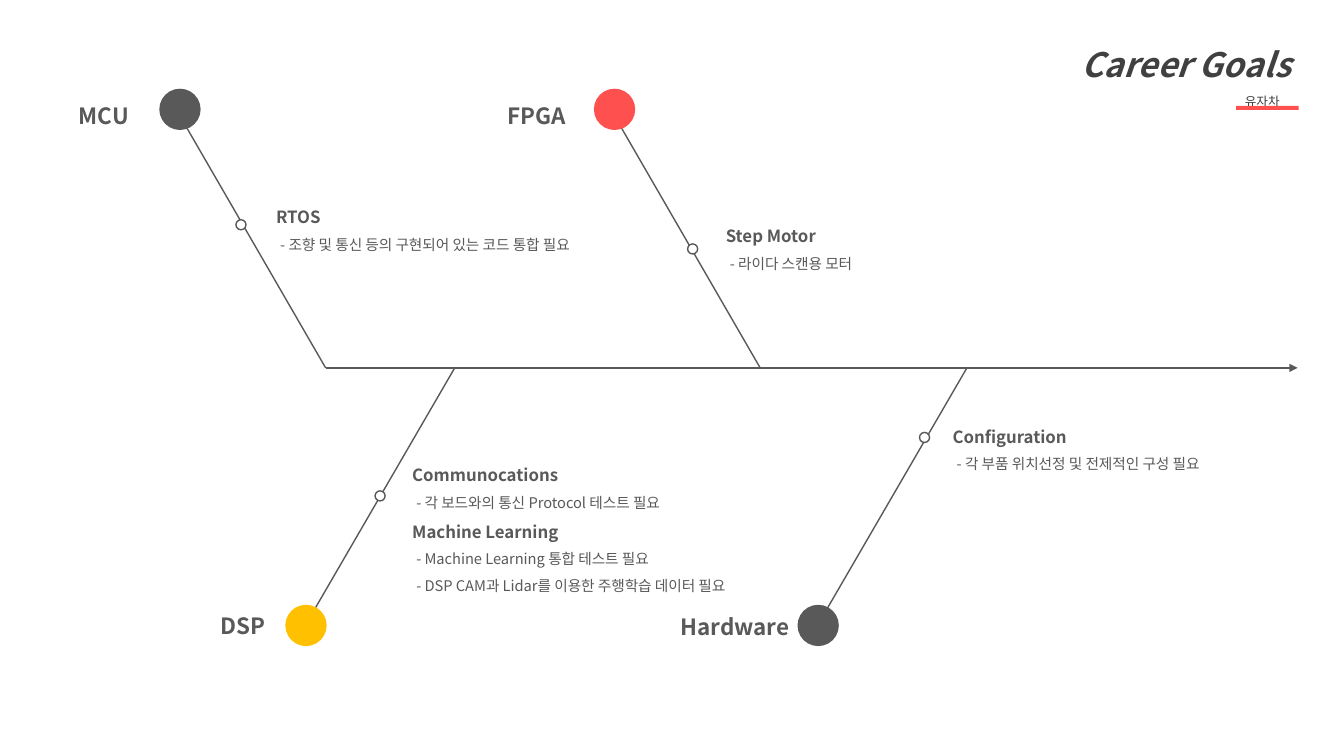
from dataclasses import dataclass

from lxml import etree
from pptx import Presentation
from pptx import util as u
from pptx.dml.color import RGBColor
from pptx.enum import shapes, text
from pptx.oxml import ns

HUES = {"grey": "595959", "dark": "404040", "red": "FF5050",
        "gold": "FFC000", "white": "FFFFFF"}
FONT = "Noto Sans CJK KR"
CELL = 0.1
SPINE = 36.5
RUN = 14.8
HEAD = 4.1
DOT = 1.0


@dataclass(frozen=True)
class Box:
    col: float
    row: float
    wide: float
    high: float


@dataclass(frozen=True)
class Line:
    words: str
    size: float
    bold: bool = False
    hue: str = "grey"
    slant: bool = False
    indent: float = 0


@dataclass(frozen=True)
class Bone:
    name: str
    hue: str
    above: bool
    foot: float
    head: float
    dot: tuple[float, float]
    label: tuple[float, float]
    area: Box
    notes: tuple[Line, ...]


def topic(words: str) -> Line:
    return Line(words, 12, True)


def task(words: str) -> Line:
    return Line("- " + words, 10.5, indent=0.4)


BONES = (
    Bone("MCU", "grey", True, 32.3, 15.8, (23.4, 21.8), (2.4, 8.3),
         Box(26.4, 19, 35.9, 6.3),
         (topic("RTOS"), task("조향 및 통신 등의 구현되어 있는 코드 통합 필요"))),
    Bone("FPGA", "red", True, 75.4, 58.9, (68.2, 24.2), (45.3, 8.3),
         Box(71, 20.9, 35.9, 6.6),
         (topic("Step Motor"), task("라이다 스캔용 모터"))),
    Bone("DSP", "gold", False, 45.1, 28.3, (37.2, 48.7), (16.2, 58.9),
         Box(39.9, 44.6, 38.5, 14.7),
         (topic("Communocations"), task("각 보드와의 통신 Protocol 테스트 필요"),
          topic("Machine Learning"), task("Machine Learning 통합 테스트 필요"),
          task("DSP CAM과 Lidar를 이용한 주행학습 데이터 필요"))),
    Bone("Hardware", "grey", False, 95.9, 79.1, (91.2, 42.9), (65, 59),
         Box(93.5, 40.8, 35.9, 6.3),
         (topic("Configuration"), task("각 부품 위치선정 및 전제적인 구성 필요"))),
)


def span(cells: float) -> u.Length:
    return u.Inches(cells * CELL)


def rgb(hue: str) -> RGBColor:
    return RGBColor.from_string(HUES[hue])


def place(box: Box) -> tuple[u.Length, ...]:
    return span(box.col), span(box.row), span(box.wide), span(box.high)


def write(frame, lines: tuple[Line, ...], align: text.PP_ALIGN) -> None:
    frame.word_wrap = True
    frame.auto_size = text.MSO_AUTO_SIZE.SHAPE_TO_FIT_TEXT
    frame.vertical_anchor = text.MSO_ANCHOR.TOP
    for i, line in enumerate(lines):
        para = frame.paragraphs[0] if i == 0 else frame.add_paragraph()
        run = para.add_run()
        run.text = line.words
        para.alignment = align
        para.line_spacing = 1.5
        font = para.font
        font.name, font.size = FONT, u.Pt(line.size)
        font.bold, font.italic = line.bold, line.slant
        font.color.rgb = rgb(line.hue)
        props = para._p.get_or_add_pPr()
        props.set("marL", str(span(line.indent)))
        east = etree.SubElement(props.find(ns.qn("a:defRPr")), ns.qn("a:ea"))
        east.set("typeface", FONT)
        style = run.font
        style.name, style.size = FONT, font.size
        style.bold, style.italic = line.bold, line.slant
        style.color.rgb = rgb(line.hue)
        run._r.get_or_add_rPr().append(etree.fromstring(etree.tostring(east)))


def note(slide, box: Box, lines: tuple[Line, ...],
         align: text.PP_ALIGN = text.PP_ALIGN.LEFT) -> None:
    write(slide.shapes.add_textbox(*place(box)).text_frame, lines, align)


def rule(slide, x1: float, y1: float, x2: float, y2: float,
         arrow: bool = False) -> None:
    link = slide.shapes.add_connector(
        shapes.MSO_CONNECTOR.STRAIGHT, span(x1), span(y1), span(x2), span(y2))
    link.line.color.rgb = rgb("grey")
    link.line.width = u.Pt(1)
    props = link._element.spPr
    if arrow:
        tip = etree.SubElement(props.find(ns.qn("a:ln")), ns.qn("a:tailEnd"))
        tip.set("type", "triangle")
    etree.SubElement(props, ns.qn("a:effectLst"))


def form(slide, kind: shapes.MSO_SHAPE, box: Box, hue: str,
         edge: bool = False) -> None:
    item = slide.shapes.add_shape(kind, *place(box))
    item.shadow.inherit = False
    item.fill.solid()
    item.fill.fore_color.rgb = rgb(hue)
    if edge:
        item.line.color.rgb = rgb("grey")
        item.line.width = u.Pt(1)
    else:
        item.line.fill.background()


def draw(slide, bone: Bone) -> None:
    oval = shapes.MSO_SHAPE.OVAL
    top, end = (8.8, 10.9) if bone.above else (60, 62)
    rule(slide, bone.foot - RUN, end, bone.foot, SPINE)
    form(slide, oval, Box(bone.head, top, HEAD, HEAD), bone.hue)
    form(slide, oval, Box(*bone.dot, DOT, DOT), "white", True)
    note(slide, Box(*bone.label, 15.8, 4.5), (Line(bone.name, 16, True),),
         text.PP_ALIGN.CENTER)
    note(slide, bone.area, bone.notes)


def main() -> None:
    deck = Presentation()
    deck.slide_width, deck.slide_height = u.Inches(13.33), u.Inches(7.5)
    slide = deck.slides.add_slide(deck.slide_layouts[5])
    title = slide.shapes.title
    title.left, title.top, title.width, title.height = place(
        Box(83, 1.9, 46, 7.2))
    write(title.text_frame, (Line("Career Goals", 24, True, "dark", True),),
          text.PP_ALIGN.RIGHT)
    rule(slide, BONES[0].foot, SPINE, 128.7, SPINE, True)
    for bone in BONES:
        draw(slide, bone)
    note(slide, Box(107.9, 8.1, 20, 3), (Line("유자차", 9, hue="dark"),),
         text.PP_ALIGN.RIGHT)
    form(slide, shapes.MSO_SHAPE.RECTANGLE, Box(122.6, 10.5, 6.2, 0.4), "red")
    deck.save("out.pptx")


if __name__ == "__main__":
    main()
